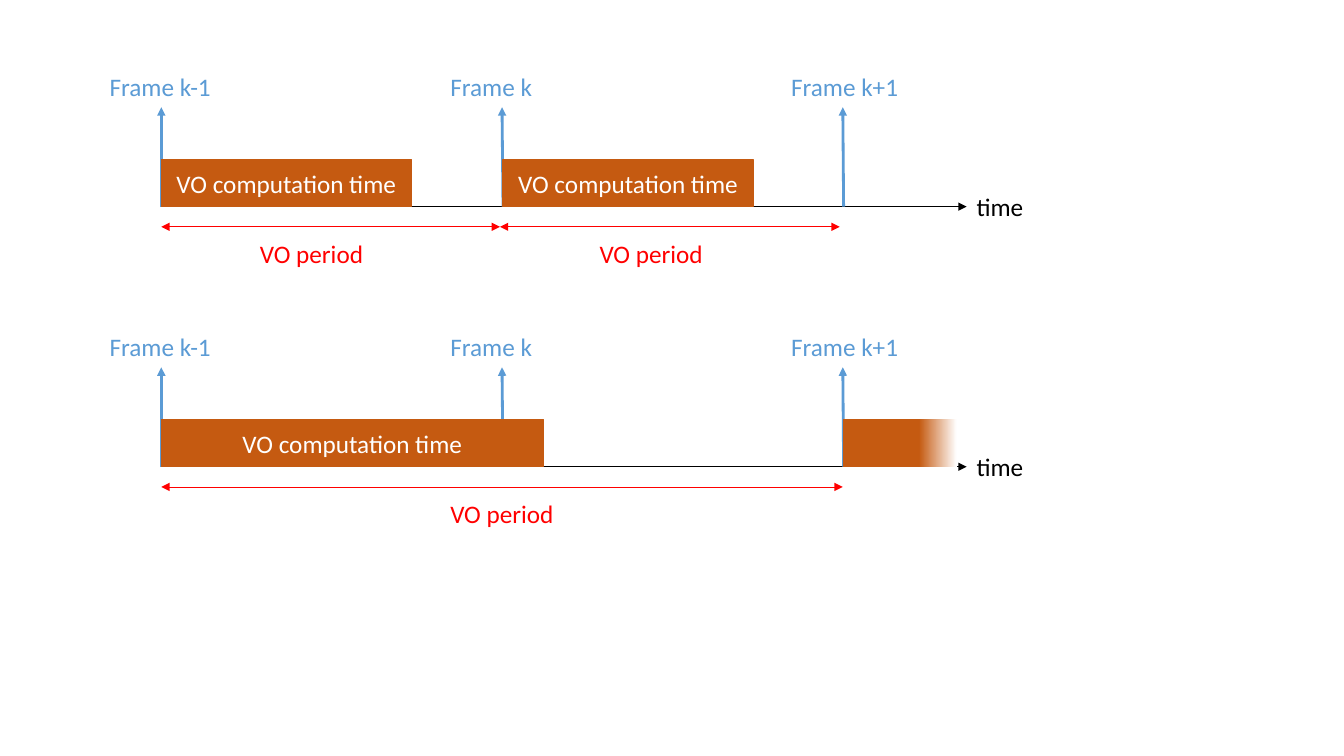
from dataclasses import dataclass

from lxml.etree import SubElement
from pptx import Presentation
from pptx.dml.color import RGBColor
from pptx.enum.shapes import MSO_CONNECTOR as Line, MSO_SHAPE as Form
from pptx.enum.text import MSO_ANCHOR as Anchor, MSO_AUTO_SIZE as Fit, PP_ALIGN as Align
from pptx.oxml.ns import qn
from pptx.shapes.autoshape import Shape
from pptx.text.text import TextFrame
from pptx.util import Pt

BLACK = RGBColor(0x00, 0x00, 0x00)
WHITE = RGBColor(0xFF, 0xFF, 0xFF)
BLUE = RGBColor(0x5B, 0x9B, 0xD5)
RED = RGBColor(0xFF, 0x00, 0x00)
RUST = RGBColor(0xC5, 0x5A, 0x11)

START = 115.2
STOP = 690.5
RISE = 71
TALL = 33.8


@dataclass(frozen=True)
class Frame:
    name: str
    tip: float
    base: float
    width: float


@dataclass(frozen=True)
class Bar:
    left: float
    width: float


@dataclass(frozen=True)
class Span:
    left: float
    right: float
    label: float


@dataclass(frozen=True)
class Chart:
    axis: float
    bars: tuple[Bar, ...]
    spans: tuple[Span, ...]
    fade: Bar | None = None


FRAMES = (
    Frame("Frame k-1", START, START, 88.6),
    Frame("Frame k", 358.6, 359.3, 73.4),
    Frame("Frame k+1", 602, 602.6, 91.4),
)
CHARTS = (
    Chart(
        147.6,
        (Bar(START, 178.6), Bar(359.3, 178.6)),
        (Span(START, 357.1, 178.6), Span(357.1, 599.8, 421.2)),
    ),
    Chart(
        333.4,
        (Bar(START, 272.9),),
        (Span(START, 602, 314.6),),
        Bar(602, 81.4),
    ),
)

deck = Presentation()
deck.slide_width, deck.slide_height = Pt(960), Pt(540)
slide = deck.slides.add_slide(deck.slide_layouts[6])
shapes = slide.shapes


def write(frame: TextFrame, text: str, color: RGBColor, align: Align) -> None:
    par = frame.paragraphs[0]
    par.alignment = align
    run = par.add_run()
    run.text = text
    run.font.name = "Calibri"
    run.font.size = Pt(18)
    run.font.color.rgb = color


def label(text: str, left: float, top: float, width: float, color: RGBColor) -> None:
    frame = shapes.add_textbox(Pt(left), Pt(top), Pt(width), Pt(29)).text_frame
    frame.word_wrap = False
    frame.auto_size = Fit.SHAPE_TO_FIT_TEXT
    write(frame, text, color, Align.LEFT)


def arrow(x1: float, y1: float, x2: float, y2: float, color: RGBColor,
          weight: float, both: bool = False) -> None:
    link = shapes.add_connector(Line.STRAIGHT, Pt(x1), Pt(y1), Pt(x2), Pt(y2))
    link.line.color.rgb = color
    link.line.width = Pt(weight)
    stroke = link.line._get_or_add_ln()
    for end in ("a:headEnd", "a:tailEnd") if both else ("a:tailEnd",):
        SubElement(stroke, qn(end), type="triangle")
    SubElement(link._element.spPr, qn("a:effectLst"))


def block(bar: Bar, axis: float) -> Shape:
    box = shapes.add_shape(
        Form.RECTANGLE, Pt(bar.left), Pt(axis - TALL), Pt(bar.width), Pt(TALL))
    box.shadow.inherit = False
    return box


def task(bar: Bar, axis: float) -> None:
    box = block(bar, axis)
    box.fill.solid()
    box.fill.fore_color.rgb = RUST
    box.line.color.rgb = RUST
    box.line.width = Pt(1)
    box.text_frame.word_wrap = True
    box.text_frame.vertical_anchor = Anchor.MIDDLE
    write(box.text_frame, "VO computation time", WHITE, Align.CENTER)


def fade(bar: Bar, axis: float) -> None:
    box = block(bar, axis)
    box.line.fill.background()
    box.fill.gradient()
    box.fill.gradient_angle = 0
    for stop, spot, color in zip(box.fill.gradient_stops, (0.67, 1), (RUST, WHITE)):
        stop.position = spot
        stop.color.rgb = color


def draw(chart: Chart) -> None:
    axis = chart.axis
    arrow(START, axis, STOP, axis, BLACK, 0.5)
    label("time", STOP, axis - 14.4, 48.2, BLACK)
    for frame in FRAMES:
        arrow(frame.base, axis, frame.tip, axis - RISE, BLUE, 2)
        label(frame.name, frame.tip - 44, axis - 100, frame.width, BLUE)
    for bar in chart.bars:
        task(bar, axis)
    if chart.fade:
        fade(chart.fade, axis)
    for span in chart.spans:
        arrow(span.left, axis + 14.4, span.right, axis + 14.4, RED, 0.5, True)
        label("VO period", span.label, axis + 19, 89.3, RED)


def main() -> None:
    for chart in CHARTS:
        draw(chart)
    deck.save("out.pptx")


if __name__ == "__main__":
    main()
